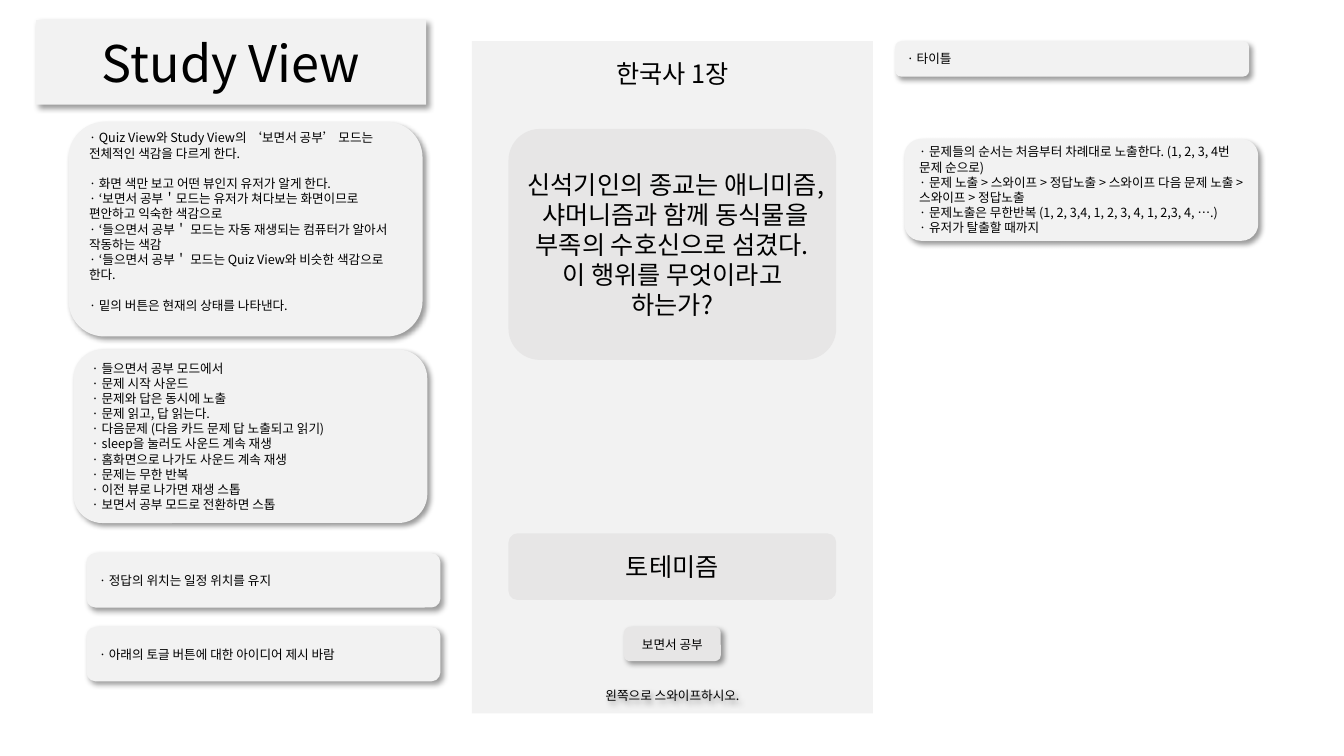
import pptx
import pptx.util
import pptx.dml.color
import pptx.enum.shapes
import pptx.enum.text
import pptx.oxml
import pptx.oxml.ns
from dataclasses import dataclass

Cm, Pt = pptx.util.Cm, pptx.util.Pt
ALIGN = pptx.enum.text.PP_ALIGN
SHAPE = pptx.enum.shapes.MSO_SHAPE
NS = pptx.oxml.ns.nsdecls("a")


@dataclass(frozen=True)
class Theme:
    font: str = "Noto Sans CJK KR"
    text: str = "000000"
    panel: str = "F2F2F2"
    card: str = "E7E6E6"
    title: int = 36
    large: int = 18
    small: int = 9


T = Theme()
NOTE_W = 8.92

MODE_NOTES = [
    "· Quiz View와 Study View의 ‘보면서 공부’ 모드는 전체적인 색감을 다르게 한다.",
    "· 화면 색만 보고 어떤 뷰인지 유저가 알게 한다.",
    "· ‘보면서 공부＇모드는 유저가 쳐다보는 화면이므로 편안하고 익숙한 색감으로",
    "· ‘들으면서 공부＇ 모드는 자동 재생되는 컴퓨터가 알아서 작동하는 색감",
    "· ‘들으면서 공부＇ 모드는 Quiz View와 비슷한 색감으로 한다.",
    "· 밑의 버튼은 현재의 상태를 나타낸다.",
]
LISTEN_NOTES = [
    "· 들으면서 공부 모드에서",
    "· 문제 시작 사운드",
    "· 문제와 답은 동시에 노출",
    "· 문제 읽고, 답 읽는다.",
    "· 다음문제 (다음 카드 문제 답 노출되고 읽기)",
    "· sleep을 눌러도 사운드 계속 재생",
    "· 홈화면으로 나가도 사운드 계속 재생",
    "· 문제는 무한 반복",
    "· 이전 뷰로 나가면 재생 스톱",
    "· 보면서 공부 모드로 전환하면 스톱",
]
ORDER_NOTES = [
    "· 문제들의 순서는 처음부터 차례대로 노출한다. (1, 2, 3, 4번 문제 순으로)",
    "· 문제 노출 > 스와이프 > 정답노출 > 스와이프 다음 문제 노출 > 스와이프 > 정답노출",
    "· 문제노출은 무한반복 (1, 2, 3,4, 1, 2, 3, 4, 1, 2,3, 4, ….)",
    "· 유저가 탈출할 때까지",
]


def put_text(sp, lines, size, align=ALIGN.LEFT):
    tf = sp.text_frame
    tf.word_wrap = True
    tf.auto_size = pptx.enum.text.MSO_AUTO_SIZE.NONE
    tf.vertical_anchor = pptx.enum.text.MSO_ANCHOR.MIDDLE
    for i, line in enumerate(lines):
        p = tf.add_paragraph() if i else tf.paragraphs[0]
        p.alignment = align
        r = p.add_run()
        r.text = line
        r.font.size = Pt(size)
        r.font.name = T.font
        r.font.color.rgb = pptx.dml.color.RGBColor.from_string(T.text)
        latin = r._r.rPr.find(pptx.oxml.ns.qn("a:latin"))
        latin.addnext(pptx.oxml.parse_xml(f'<a:ea {NS} typeface="{T.font}"/>'))
    return tf


def paint(sp, fill, shadow):
    if fill:
        sp.fill.solid()
        sp.fill.fore_color.rgb = pptx.dml.color.RGBColor.from_string(fill)
    else:
        sp.fill.background()
    sp.line.fill.background()
    sp.shadow.inherit = False
    if shadow:
        effects = sp._element.spPr.find(pptx.oxml.ns.qn("a:effectLst"))
        effects.append(pptx.oxml.parse_xml(
            f'<a:outerShdw {NS} blurRad="{Pt(4)}" dist="{Pt(3)}" dir="2700000" '
            'algn="tl" rotWithShape="0"><a:srgbClr val="000000">'
            '<a:alpha val="40000"/></a:srgbClr></a:outerShdw>'))


def add_box(s, x, y, w, h, fill, shadow=False, kind=SHAPE.ROUNDED_RECTANGLE):
    sp = s.shapes.add_shape(kind, Cm(x), Cm(y), Cm(w), Cm(h))
    paint(sp, fill, shadow)
    return sp


def add_note(s, x, y, h, lines):
    return put_text(add_box(s, x, y, NOTE_W, h, T.panel, shadow=True), lines, T.small)


def add_title(s, x, y, w, h):
    sp = s.shapes.title
    sp.left, sp.top, sp.width, sp.height = Cm(x), Cm(y), Cm(w), Cm(h)
    sp._element.spPr.append(pptx.oxml.parse_xml(
        f'<a:prstGeom {NS} prst="roundRect"><a:avLst/></a:prstGeom>'))
    paint(sp, T.panel, shadow=True)
    put_text(sp, ["Study View"], T.title, ALIGN.CENTER)


def add_left_notes(s, x, y):
    tf = add_note(s, x, y, 5.41, MODE_NOTES)
    # One line of air around the middle group and below the last note
    for i in (1, 5):
        tf.paragraphs[i].space_before = Pt(11)
    tf.margin_bottom = Cm(0.51)
    add_note(s, x + 0.12, y + 5.74, 4.37, LISTEN_NOTES)
    # Two single-line notes
    for i, line in enumerate(["· 정답의 위치는 일정 위치를 유지",
                              "· 아래의 토글 버튼에 대한 아이디어 제시 바람"]):
        add_note(s, x + 0.45, y + 10.87 + 1.86 * i, 1.37, [line])


def add_phone(s, x, y, w, h):
    add_box(s, x, y, w, h, T.panel, kind=SHAPE.RECTANGLE)

    def centred(width):
        return x + (w - width) / 2

    # Chapter heading
    tb = s.shapes.add_textbox(Cm(centred(6.2)), Cm(y + 0.3), Cm(6.2), Cm(1.02))
    put_text(tb, ["한국사 1장"], T.large, ALIGN.CENTER)

    # Question and answer cards
    question = ("신석기인의 종교는 애니미즘, 샤머니즘과 함께 동식물을 부족의 "
                "수호신으로 섬겼다. 이 행위를 무엇이라고 하는가?")
    for dy, height, text in [(2.21, 5.82, question), (12.4, 1.68, "토테미즘")]:
        sp = add_box(s, centred(8.26), y + dy, 8.26, height, T.card)
        sp.adjustments[0] = 0.136
        put_text(sp, [text], T.large, ALIGN.CENTER)

    # Mode button and swipe hint
    for dy, width, height, fill, text in [
            (14.76, 2.44, 0.86, T.card, "보면서 공부"),
            (16.18, NOTE_W, 0.61, None, "왼쪽으로 스와이프하시오.")]:
        sp = add_box(s, centred(width), y + dy, width, height, fill, shadow=True)
        put_text(sp, [text], T.small, ALIGN.CENTER)


def add_right_notes(s, x, y):
    add_note(s, x, y, 0.89, ["· 타이틀"])
    add_note(s, x + 0.23, y + 2.46, 2.57, ORDER_NOTES)


def main():
    prs = pptx.Presentation()
    prs.slide_width, prs.slide_height = Cm(33.87), Cm(19.05)
    s = prs.slides.add_slide(prs.slide_layouts[5])
    add_title(s, 0.91, 0.51, 9.83, 2.13)
    add_left_notes(s, 1.73, 3.07)
    add_phone(s, 11.89, 1.04, 10.11, 16.94)
    add_right_notes(s, 22.56, 1.04)
    prs.save("out.pptx")


if __name__ == "__main__":
    main()
